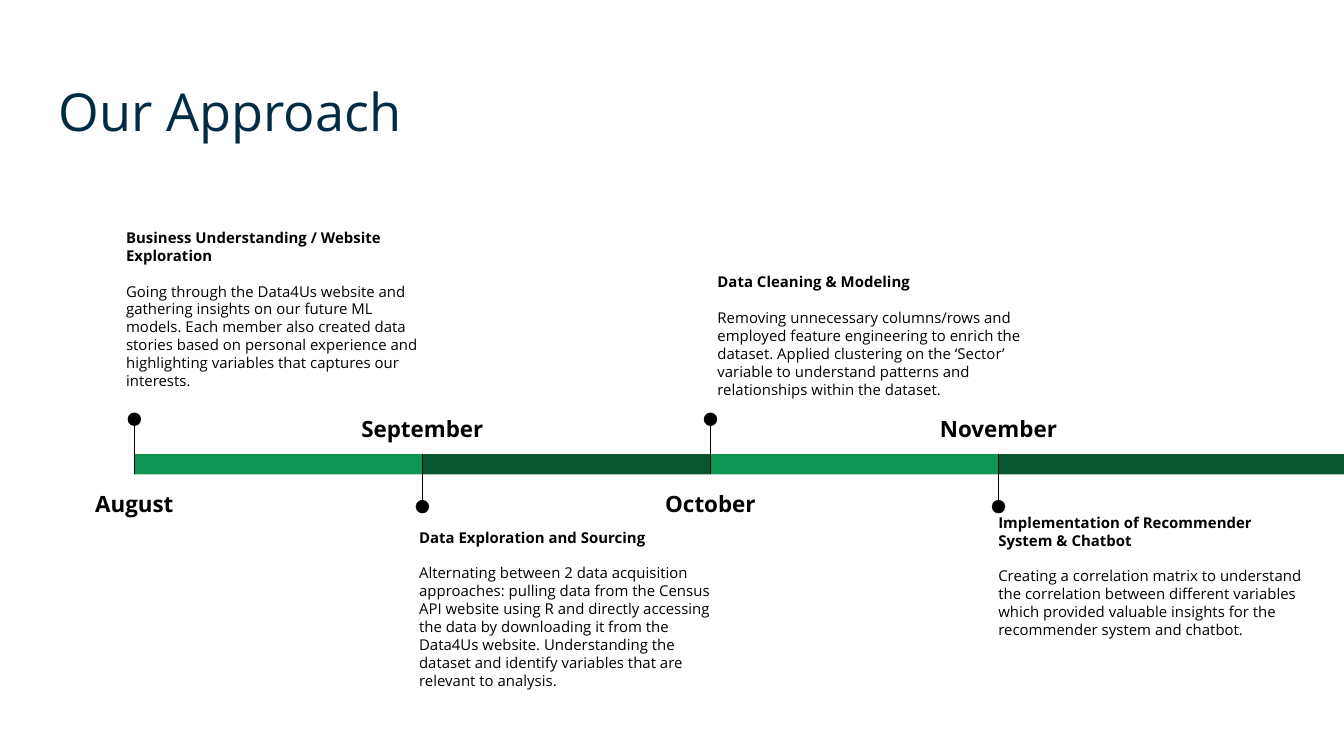
import pptx
import pptx.dml.color
import pptx.enum.shapes
import pptx.enum.text
import pptx.util
from lxml import etree

Inches = pptx.util.Inches
Pt = pptx.util.Pt
RGBColor = pptx.dml.color.RGBColor
MSO_SHAPE = pptx.enum.shapes.MSO_SHAPE
PP_ALIGN = pptx.enum.text.PP_ALIGN

NAVY = RGBColor(0x00, 0x2D, 0x45)
BLACK = RGBColor(0x00, 0x00, 0x00)
GREEN = RGBColor(0x0E, 0x94, 0x53)
DARK_GREEN = RGBColor(0x08, 0x56, 0x31)

FONT = "Open Sans"
SLIDE_WIDTH = 10
SLIDE_HEIGHT = SLIDE_WIDTH * 9 / 16
FIRST_LEFT = 1
LAST_LEFT = 7.43
BAR_TOP = 3.38
BAR_HEIGHT = 0.15
DOT_SIZE = 0.1

# Text formats: font values and paragraph values
TITLE = {
    "font": {"size": Pt(28), "bold": False, "color": NAVY},
    "paragraph": {"line_spacing": 1.0},
}
MONTH = {
    "font": {"size": Pt(12), "bold": True, "color": BLACK},
    "paragraph": {"alignment": PP_ALIGN.CENTER, "line_spacing": 1.15},
}
HEADING = {
    "font": {"size": Pt(8), "bold": True, "color": BLACK},
    "paragraph": {"line_spacing": 1.0},
}
BODY = {
    "font": {"size": Pt(8), "bold": False, "color": BLACK},
    "paragraph": {"line_spacing": 1.0, "space_before": Pt(9.6)},
}

# Month, note left, note top, note height, heading, body
PHASES = [
    ("August", 0.84, 1.6, 1.03,
     "Business Understanding / Website Exploration",
     "Going through the Data4Us website and gathering insights on our future "
     "ML models. Each member also created data stories based on personal "
     "experience and highlighting variables that captures our interests."),
    ("September", 3.02, 3.83, 1.39,
     "Data Exploration and Sourcing",
     "Alternating between 2 data acquisition approaches: pulling data from "
     "the Census API website using R and directly accessing the data by "
     "downloading it from the Data4Us website. Understanding the dataset and "
     "identify variables that are relevant to analysis."),
    ("October", 5.24, 1.93, 1.03,
     "Data Cleaning & Modeling",
     "Removing unnecessary columns/rows and employed feature engineering to "
     "enrich the dataset. Applied clustering on the ‘Sector’ variable to "
     "understand patterns and relationships within the dataset."),
    ("November", 7.33, 3.72, 1.03,
     "Implementation of Recommender System & Chatbot",
     "Creating a correlation matrix to understand the correlation between "
     "different variables which provided valuable insights for the "
     "recommender system and chatbot."),
]
MONTH_STEP = (LAST_LEFT - FIRST_LEFT) / (len(PHASES) - 1)


def format_paragraph(paragraph, text_format):
    for name, value in text_format["paragraph"].items():
        setattr(paragraph, name, value)
    paragraph.font.name = FONT
    for name, value in text_format["font"].items():
        if name == "color":
            paragraph.font.color.rgb = value
        else:
            setattr(paragraph.font, name, value)


def add_text(slide, left, top, width, height, *parts):
    """Add a text box with one paragraph for each (text, format) pair."""
    box = slide.shapes.add_textbox(
        Inches(left), Inches(top), Inches(width), Inches(height))
    frame = box.text_frame
    frame.word_wrap = True
    for side in ("left", "top", "right", "bottom"):
        setattr(frame, f"margin_{side}", Inches(0.1))
    for index, (text, text_format) in enumerate(parts):
        paragraph = frame.add_paragraph() if index else frame.paragraphs[0]
        paragraph.text = text
        format_paragraph(paragraph, text_format)


def add_filled_shape(slide, kind, left, top, width, height, color):
    shape = slide.shapes.add_shape(
        kind, Inches(left), Inches(top), Inches(width), Inches(height))
    shape.shadow.inherit = False
    shape.fill.solid()
    shape.fill.fore_color.rgb = color
    shape.line.fill.background()


def add_pin(slide, x, above):
    """Add a line across the bar that ends in a dot above or below it."""
    start, end = (3.13, BAR_TOP + BAR_HEIGHT) if above else (3.77, BAR_TOP)
    connector = slide.shapes.add_connector(
        pptx.enum.shapes.MSO_CONNECTOR.STRAIGHT,
        Inches(x), Inches(start), Inches(x), Inches(end))
    connector.line.color.rgb = BLACK
    connector.line.width = Pt(0.75)
    properties = connector._element.spPr
    etree.SubElement(properties, pptx.oxml.ns.qn("a:effectLst"))
    dot_top = 3.07 if above else 3.72
    add_filled_shape(slide, MSO_SHAPE.OVAL, x - DOT_SIZE / 2, dot_top,
                     DOT_SIZE, DOT_SIZE, BLACK)


def add_phase(slide, index, phase):
    month, note_left, note_top, note_height, heading, body = phase
    left = FIRST_LEFT + index * MONTH_STEP
    above = index % 2 == 0
    is_last = index == len(PHASES) - 1
    width = SLIDE_WIDTH - left if is_last else MONTH_STEP

    # Bar segment and pin
    add_filled_shape(slide, MSO_SHAPE.RECTANGLE, left, BAR_TOP, width,
                     BAR_HEIGHT, GREEN if above else DARK_GREEN)
    add_pin(slide, left, above)

    # Month on the side of the bar away from the dot
    month_width = 1.24
    add_text(slide, left - month_width / 2, 3.52 if above else 2.96,
             month_width, 0.41, (month, MONTH))

    # Note
    add_text(slide, note_left, note_top, 2.46, note_height,
             (heading, HEADING), (body, BODY))


def main():
    presentation = pptx.Presentation()
    presentation.slide_width = Inches(SLIDE_WIDTH)
    presentation.slide_height = Inches(SLIDE_HEIGHT)
    slide = presentation.slides.add_slide(presentation.slide_layouts[6])

    # Title
    add_text(slide, 0.34, 0.49, 9.32, 0.63, ("Our Approach", TITLE))

    # Timeline
    for index, phase in enumerate(PHASES):
        add_phase(slide, index, phase)

    presentation.save("out.pptx")


if __name__ == "__main__":
    main()
